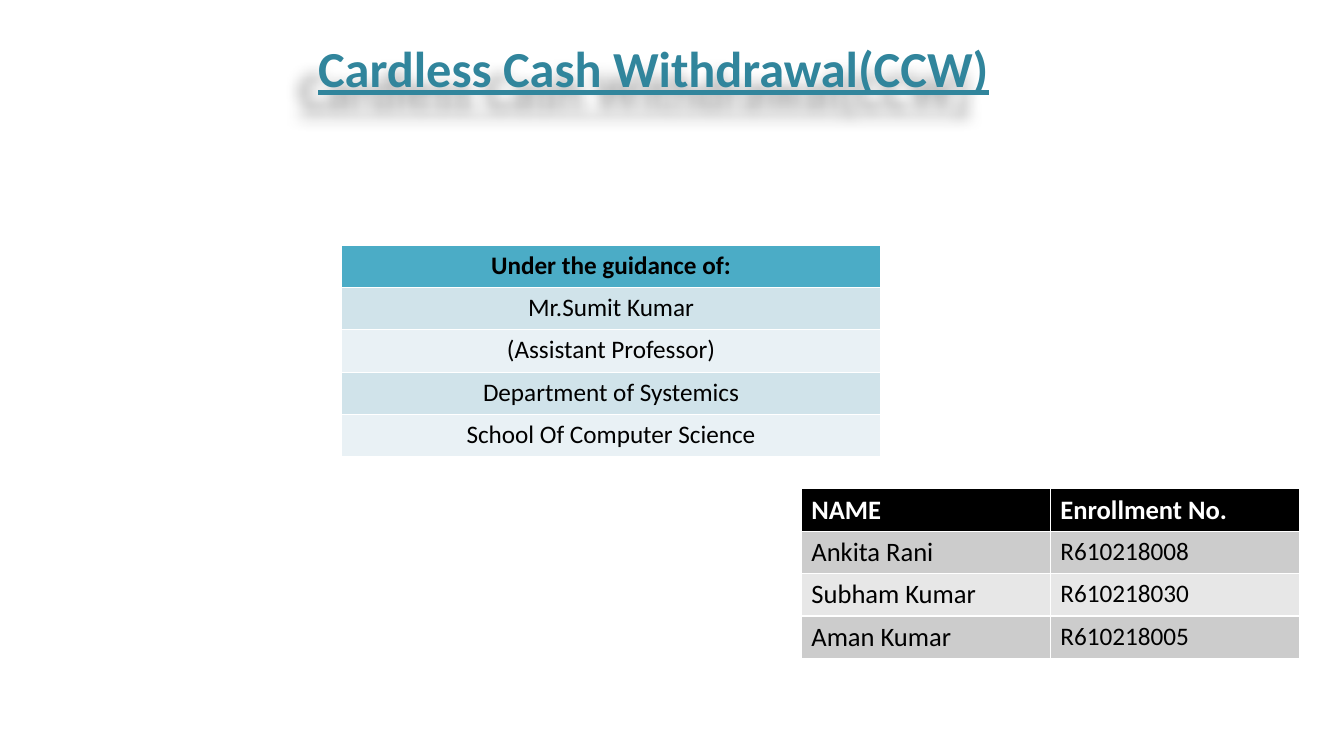
import pptx
import pptx.dml.color
import pptx.enum.text
import pptx.oxml
import pptx.oxml.ns
import pptx.util

COLS, ROWS = 160, 90
UNIT = pptx.util.Inches(7.5) // ROWS
ALIGN = pptx.enum.text.PP_ALIGN


def rgb(value):
    """Turn a hex string into a colour."""
    return pptx.dml.color.RGBColor.from_string(value)


def grid(*cells):
    """Turn grid counts into slide lengths."""
    return [pptx.util.Emu(round(n * UNIT)) for n in cells]


def write(tf, text, size=18, color="000000", bold=False, underline=False, align=ALIGN.LEFT):
    """Write one formatted paragraph into a text frame."""
    p = tf.paragraphs[0]
    p.alignment = align
    r = p.add_run()
    r.text = text
    r.font.name = "Calibri"
    r.font.size = pptx.util.Pt(size)
    r.font.bold = bold
    r.font.underline = underline
    r.font.color.rgb = rgb(color)


def add_title(s, box, text):
    """Fill the title placeholder and give it a soft shadow."""
    sp = s.shapes.title
    sp.left, sp.top, sp.width, sp.height = grid(*box)
    tf = sp.text_frame
    tf.word_wrap = True
    tf.auto_size = pptx.enum.text.MSO_AUTO_SIZE.NONE
    tf.vertical_anchor = pptx.enum.text.MSO_ANCHOR.MIDDLE
    write(tf, text, size=36, color="31859C", bold=True, underline=True, align=ALIGN.CENTER)
    sp._element.spPr.append(pptx.oxml.parse_xml(
        f'<a:effectLst {pptx.oxml.ns.nsdecls("a")}>'
        '<a:outerShdw blurRad="127000" dist="254000" dir="8100000" algn="tr" rotWithShape="0">'
        '<a:srgbClr val="000000"><a:alpha val="40000"/></a:srgbClr>'
        '</a:outerShdw></a:effectLst>'))


def add_table(s, box, rows, head_fill, head_color, bands, sizes, align=ALIGN.LEFT):
    """Add a table with a header row, banded body and a text size per column."""
    table = s.shapes.add_table(len(rows), len(rows[0]), *grid(*box)).table
    for i, row in enumerate(rows):
        head = i == 0
        for j, text in enumerate(row):
            cell = table.cell(i, j)
            cell.fill.solid()
            cell.fill.fore_color.rgb = rgb(head_fill if head else bands[(i - 1) % 2])
            write(cell.text_frame, text, size=sizes[0] if head else sizes[j],
                  color=head_color if head else "000000", bold=head, align=align)


def main():
    """Build the title slide and save it."""
    prs = pptx.Presentation()
    prs.slide_width, prs.slide_height = grid(COLS, ROWS)
    s = prs.slides.add_slide(prs.slide_layouts[5])
    add_title(s, (6, 2.5, 143.6, 11), "Cardless Cash Withdrawal(CCW)")
    add_table(s, (95.4, 58.2, 59.3, 20),
              [("NAME", "Enrollment No."), ("Ankita Rani", "R610218008"),
               ("Subham Kumar", "R610218030"), ("Aman Kumar", "R610218005")],
              "000000", "FFFFFF", ("CCCCCC", "E7E7E7"), (19, 18))
    add_table(s, (40.7, 29.2, 64.1, 25.2),
              [("Under the guidance of:",), ("Mr.Sumit Kumar",), ("(Assistant Professor)",),
               ("Department of Systemics",), ("School Of Computer Science",)],
              "4BACC6", "000000", ("D0E3EA", "E9F1F5"), (18,), ALIGN.CENTER)
    prs.save("out.pptx")


if __name__ == "__main__":
    main()
